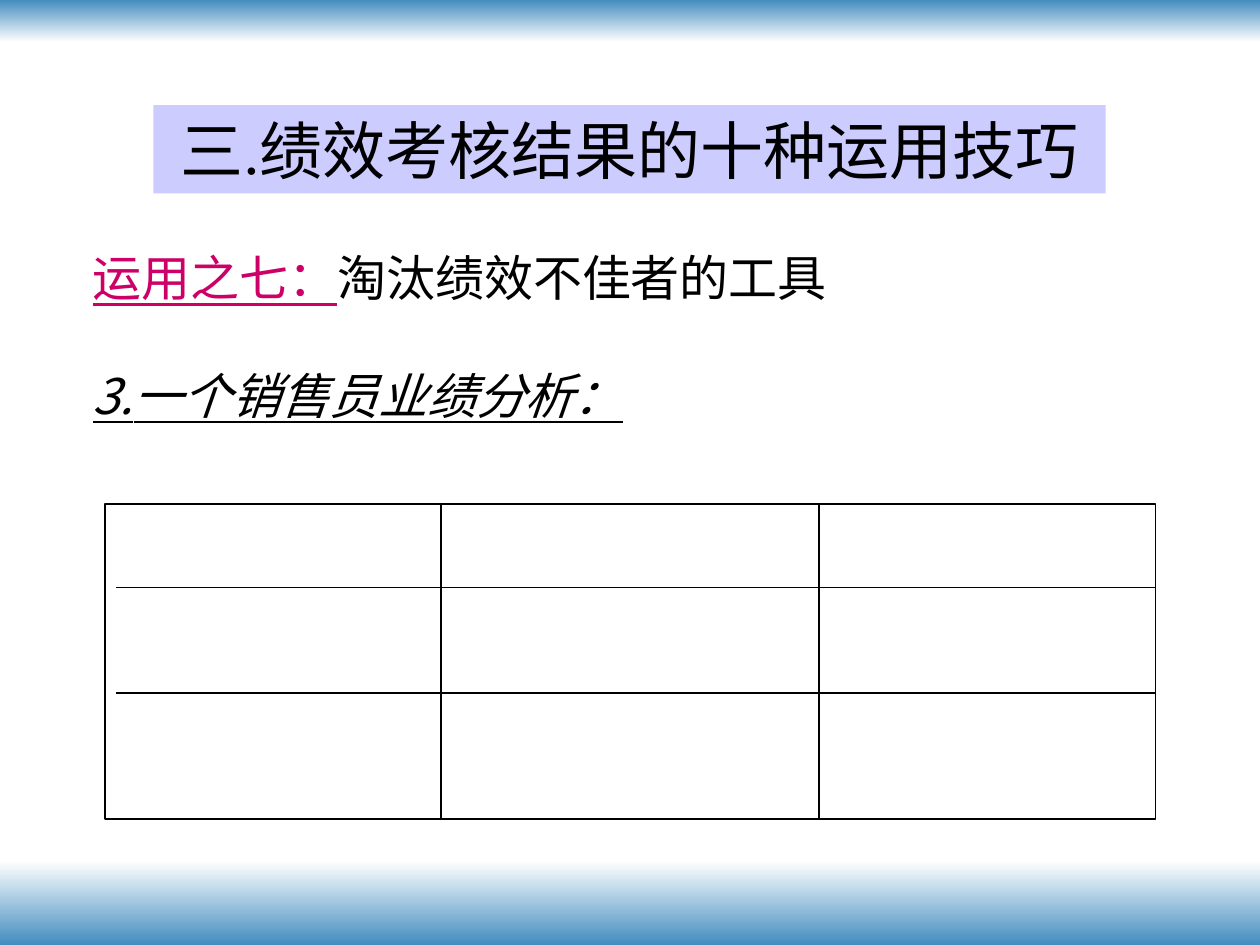
from dataclasses import dataclass

from lxml import etree
from pptx import Presentation
from pptx.dml.color import RGBColor
from pptx.enum.shapes import MSO_CONNECTOR, MSO_SHAPE
from pptx.enum.text import MSO_ANCHOR, MSO_AUTO_SIZE, PP_ALIGN
from pptx.oxml.ns import qn
from pptx.util import Cm, Pt

RECT = MSO_SHAPE.RECTANGLE
LINE = MSO_CONNECTOR.STRAIGHT
LEFT, MID = PP_ALIGN.LEFT, PP_ALIGN.CENTER
TOP, HALF = MSO_ANCHOR.TOP, MSO_ANCHOR.MIDDLE
FIXED = MSO_AUTO_SIZE.NONE


@dataclass(frozen=True)
class Theme:
    """Hold the colours, fonts and type sizes."""
    ink: str = "000000"
    paper: str = "FFFFFF"
    blue: str = "438DBF"
    lilac: str = "CCCCFF"
    rose: str = "CC0066"
    serif: str = "Times New Roman"
    sans: str = "Noto Sans CJK SC"
    head: float = 36
    body: float = 28
    gap: float = 33.6
    rule: float = 0.75


THEME = Theme()


def rgb(code):
    """Turn a hex code into a colour."""
    return RGBColor.from_string(code)


def place(shape, box):
    """Move a shape into a box given in centimetres."""
    shape.left, shape.top, shape.width, shape.height = map(Cm, box)


def frame(shape, anchor, left, right):
    """Prepare a text frame of fixed size and return it."""
    text = shape.text_frame
    text.auto_size = FIXED
    text.word_wrap = True
    text.vertical_anchor = anchor
    text.margin_left, text.margin_right = Cm(left), Cm(right)
    return text


def plain(para, align):
    """Strip indent, bullet and spacing from a paragraph."""
    props = para._p.get_or_add_pPr()
    props.set("marL", "0")
    props.set("indent", "0")
    etree.SubElement(props, qn("a:buNone"))
    para.alignment = align
    para.space_before = para.space_after = Pt(0)


def write(para, text, size, name, color=THEME.ink, line=False, slant=False):
    """Add one run to a paragraph."""
    run = para.add_run()
    run.text = text
    font = run.font
    font.size, font.name = Pt(size), name
    font.color.rgb = rgb(color)
    font.underline, font.italic = line, slant


def band(slide, box, start, end):
    """Draw a band that fades downwards."""
    shape = slide.shapes.add_shape(RECT, *map(Cm, box))
    shape.shadow.inherit = False
    shape.line.fill.background()
    shape.fill.gradient()
    shape.fill.gradient_angle = 270
    for stop, code, spot in zip(shape.fill.gradient_stops, (start, end), (0, 1)):
        stop.color.rgb = rgb(code)
        stop.position = spot


def title(slide, box):
    """Fill the title on its lilac panel."""
    shape = slide.shapes.title
    place(shape, box)
    shape.fill.solid()
    shape.fill.fore_color.rgb = rgb(THEME.lilac)
    para = frame(shape, HALF, 0.1, 0.1).paragraphs[0]
    plain(para, MID)
    write(para, "三.绩效考核结果的十种运用技巧", THEME.head, THEME.serif)


def body(slide, box):
    """Fill the two lines under the title."""
    shape = slide.placeholders[1]
    place(shape, box)
    text = frame(shape, TOP, 0.25, 0)
    first, last = text.paragraphs[0], text.add_paragraph()
    for para in (first, last):
        plain(para, LEFT)
    last.space_before = Pt(THEME.gap)
    write(first, "运用之七：", THEME.body, THEME.serif, THEME.rose, line=True)
    write(first, "淘汰绩效不佳者的工具", THEME.body, THEME.serif)
    write(last, "3.一个销售员业绩分析：", THEME.body, THEME.sans, line=True, slant=True)


def rule(slide, ends):
    """Draw one thin line."""
    line = slide.shapes.add_connector(LINE, *map(Cm, ends))
    line.line.color.rgb = rgb(THEME.ink)
    line.line.width = Pt(THEME.rule)
    etree.SubElement(line._element.spPr, qn("a:effectLst"))


def grid(slide, box, rows, cols, inset):
    """Draw an empty frame with its inner row and column lines."""
    left, top, width, height = box
    shape = slide.shapes.add_shape(RECT, *map(Cm, box))
    shape.shadow.inherit = False
    shape.fill.background()
    shape.line.color.rgb = rgb(THEME.ink)
    shape.line.width = Pt(THEME.rule)
    for y in rows:
        rule(slide, (left + inset, top + y, left + width, top + y))
    for x in cols:
        rule(slide, (left + x, top, left + x, top + height))


def main():
    """Build the slide and save it."""
    deck = Presentation()
    deck.slide_width, deck.slide_height = Cm(25.4), Cm(19.05)
    slide = deck.slides.add_slide(deck.slide_layouts[1])
    band(slide, (0, 17.35, 25.4, 1.7), THEME.paper, THEME.blue)
    band(slide, (0, 0, 25.4, 0.85), THEME.blue, THEME.paper)
    title(slide, (3.09, 2.12, 19.2, 1.78))
    body(slide, (1.62, 4.87, 15.3, 3.81))
    grid(slide, (2.12, 10.16, 21.17, 6.35), (1.69, 3.81), (6.77, 14.39), 0.21)
    deck.save("out.pptx")


if __name__ == "__main__":
    main()
